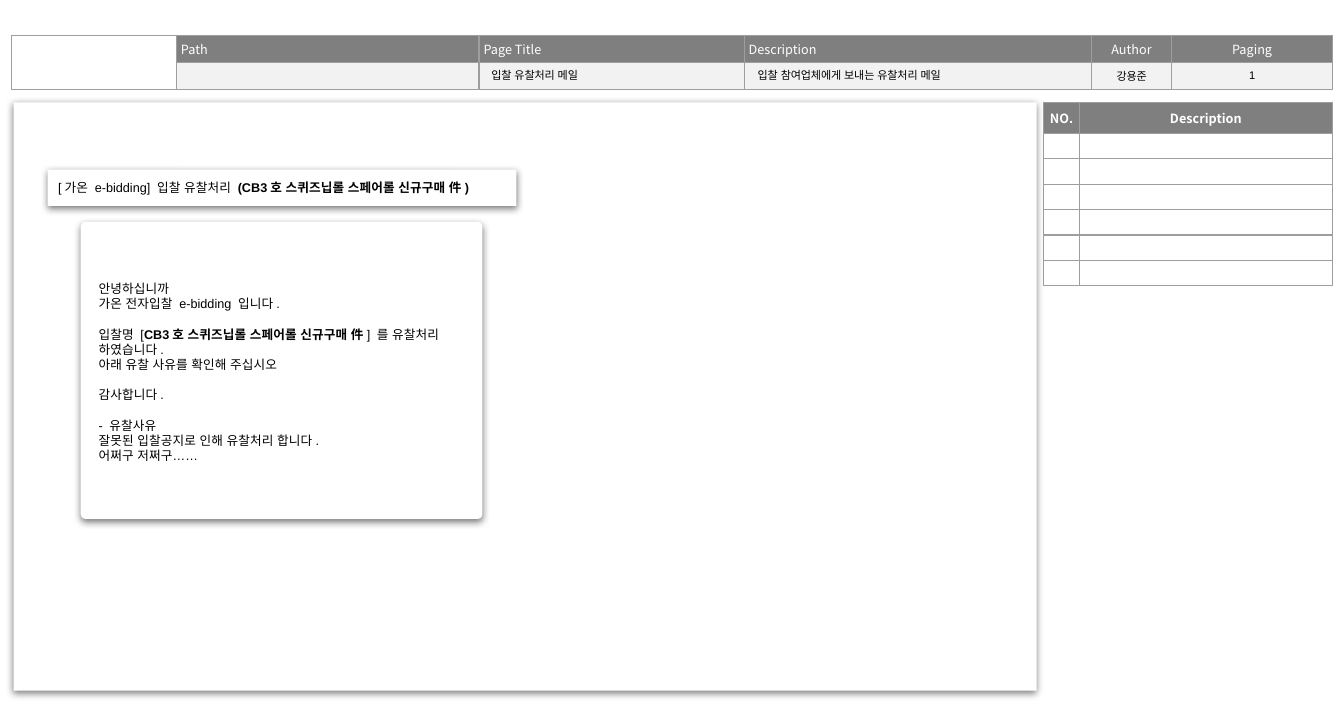
"""Build the storyboard page for the failed-bid notification mail."""
from dataclasses import dataclass

from lxml import etree
from pptx import Presentation
from pptx.dml.color import RGBColor
from pptx.enum.shapes import MSO_SHAPE
from pptx.enum.text import MSO_ANCHOR, MSO_AUTO_SIZE, PP_ALIGN
from pptx.oxml.ns import qn
from pptx.util import Pt

LEFT, CENTER = PP_ALIGN.LEFT, PP_ALIGN.CENTER
TOP, MIDDLE = MSO_ANCHOR.TOP, MSO_ANCHOR.MIDDLE
FIT_SHAPE = MSO_AUTO_SIZE.SHAPE_TO_FIT_TEXT
ROUNDED, RECTANGLE = MSO_SHAPE.ROUNDED_RECTANGLE, MSO_SHAPE.RECTANGLE

COLORS = {"white": "FFFFFF", "black": "000000", "header": "7F7F7F",
          "value": "F2F2F2", "border": "9E9E9E"}
BODY_FONT, HEADER_FONT = "Arial", "Noto Sans CJK KR"
BLANK_LINE = 9.6
BID_NAME = "CB3호 스퀴즈닙롤 스페어롤 신규구매 件"


@dataclass
class Box:
    left: float
    top: float
    width: float
    height: float


@dataclass
class Label:
    box: Box
    text: str
    align: PP_ALIGN = LEFT


@dataclass
class Card:
    box: Box
    rounding: float


@dataclass
class Line:
    phrases: list[str]
    bold_phrase: int = -1
    space_before: float = 0


@dataclass
class Heading:
    column: int
    text: str
    align: PP_ALIGN = CENTER


CANVAS = Card(Box(8.6, 64.8, 647.3, 372.2), 0)
MAIL_CARD = Card(Box(51.1, 140.4, 254.2, 187.9), 0.017)
SUBJECT_CARD = Card(Box(30.2, 107.3, 296.6, 23), 0.017)
BODY_BOX = Box(55.4, 174.2, 247, 133.2)

LABELS = [
    Label(Box(303.8, 39.6, 162, 15.8), "입찰 유찰처리 메일"),
    Label(Box(472.3, 39.6, 217.4, 15.8), "입찰 참여업체에게 보내는 유찰처리 메일"),
    Label(Box(692.6, 40.3, 46.8, 15.8), "강용준", CENTER),
    Label(Box(746.6, 39.6, 91.4, 15.8), "1", CENTER),
]
PAGE_HEADINGS = [Heading(1, "Path", LEFT), Heading(2, "Page Title", LEFT),
                 Heading(3, "Description", LEFT), Heading(4, "Author"),
                 Heading(5, "Paging")]
NOTE_HEADINGS = [Heading(0, "NO."), Heading(1, "Description")]

SUBJECT = [Line(["[가온 e-bidding] 입찰 유찰처리", f" ({BID_NAME})"], 1)]
MAIL_BODY = [
    Line(["안녕하십니까"]),
    Line(["가온 전자입찰 e-bidding 입니다."]),
    Line(["입찰명 [", BID_NAME, "] 를 유찰처리 하였습니다."], 1, BLANK_LINE),
    Line(["아래 유찰 사유를 확인해 주십시오"]),
    Line(["감사합니다."], space_before=BLANK_LINE),
    Line(["- 유찰사유"], space_before=BLANK_LINE),
    Line(["잘못된 입찰공지로 인해 유찰처리 합니다."]),
    Line(["어쩌구 저쩌구……"]),
]


def color(name: str) -> RGBColor:
    return RGBColor.from_string(COLORS[name])


def lengths(box: Box) -> list:
    return [Pt(value) for value in (box.left, box.top, box.width, box.height)]


def format_run(run, size: float, font: str, ink: str, bold: bool = False) -> None:
    run.font.size = Pt(size)
    run.font.bold = bold
    run.font.name = font
    run.font.color.rgb = color(ink)
    etree.SubElement(run._r.get_or_add_rPr(), qn("a:ea"), typeface=font)


def set_margins(target, horizontal: float, vertical: float) -> None:
    target.margin_left = target.margin_right = Pt(horizontal)
    target.margin_top = target.margin_bottom = Pt(vertical)


def draw_borders(cell, hidden: str) -> None:
    properties = cell._tc.get_or_add_tcPr()
    for side in "LRTB":
        border = etree.SubElement(properties, qn(f"a:ln{side}"), w=str(Pt(0.75)))
        if side in hidden:
            etree.SubElement(border, qn("a:noFill"))
        else:
            fill = etree.SubElement(border, qn("a:solidFill"))
            etree.SubElement(fill, qn("a:srgbClr"), val=COLORS["border"])


def add_grid(slide, left: float, top: float, columns: list[float], rows: list[float],
             headings: list[Heading], bold: bool, value_fill: str,
             hidden: dict[tuple[int, int], str]):
    box = Box(left, top, sum(columns), sum(rows))
    table = slide.shapes.add_table(len(rows), len(columns), *lengths(box)).table
    table.first_row = table.horz_banding = False
    for column, width in zip(table.columns, columns):
        column.width = Pt(width)
    for row, height in zip(table.rows, rows):
        row.height = Pt(height)
    for row_index in range(len(rows)):
        for column_index in range(len(columns)):
            cell = table.cell(row_index, column_index)
            set_margins(cell, 2.88, 2.88)
            cell.vertical_anchor = MIDDLE
            draw_borders(cell, hidden.get((row_index, column_index), ""))
            cell.fill.solid()
            cell.fill.fore_color.rgb = color(value_fill if row_index else "header")
            paragraph = cell.text_frame.paragraphs[0]
            etree.SubElement(paragraph._p, qn("a:endParaRPr"), sz="700")
    for heading in headings:
        paragraph = table.cell(0, heading.column).text_frame.paragraphs[0]
        paragraph.text = heading.text
        paragraph.alignment = heading.align
        format_run(paragraph.runs[0], 8, HEADER_FONT, "white", bold)
    return table


def add_panel(slide, kind: MSO_SHAPE, box: Box):
    shape = slide.shapes.add_shape(kind, *lengths(box))
    shape.shadow.inherit = False
    shape.fill.solid()
    shape.fill.fore_color.rgb = color("white")
    shape.line.fill.background()
    return shape


def add_card(slide, card: Card):
    shape = add_panel(slide, ROUNDED, card.box)
    shape.adjustments[0] = card.rounding
    effects = shape._element.spPr.find(qn("a:effectLst"))
    shadow = etree.SubElement(effects, qn("a:outerShdw"), blurRad=str(Pt(4.5)),
                              dist=str(Pt(1.5)), dir="5400000", rotWithShape="0")
    ink = etree.SubElement(shadow, qn("a:srgbClr"), val=COLORS["black"])
    etree.SubElement(ink, qn("a:alpha"), val="49000")
    return shape


def write_lines(text_frame, lines: list[Line], anchor: MSO_ANCHOR) -> None:
    text_frame.word_wrap = True
    text_frame.vertical_anchor = anchor
    for index, line in enumerate(lines):
        paragraph = text_frame.add_paragraph() if index else text_frame.paragraphs[0]
        paragraph.alignment = LEFT
        paragraph.space_before = Pt(line.space_before)
        for phrase_index, phrase in enumerate(line.phrases):
            run = paragraph.add_run()
            run.text = phrase
            format_run(run, 8, BODY_FONT, "black", phrase_index == line.bold_phrase)


def add_label(slide, label: Label) -> None:
    text_frame = slide.shapes.add_textbox(*lengths(label.box)).text_frame
    text_frame.text = label.text
    text_frame.word_wrap = True
    text_frame.auto_size = FIT_SHAPE
    set_margins(text_frame, 7.2, 3.6)
    paragraph = text_frame.paragraphs[0]
    paragraph.alignment = label.align
    format_run(paragraph.runs[0], 7, BODY_FONT, "black")


def main() -> None:
    presentation = Presentation()
    presentation.slide_width, presentation.slide_height = Pt(850.4), Pt(453.6)
    slide = presentation.slides.add_slide(presentation.slide_layouts[6])

    page_table = add_grid(slide, 7.2, 22.2,
                          [104.4, 191.5, 167.8, 219.6, 51.1, 32.4, 31.7, 37.4],
                          [17.3, 17.1], PAGE_HEADINGS, False, "value",
                          {(1, 5): "R", (1, 6): "LR", (1, 7): "L"})
    page_table.cell(0, 0).merge(page_table.cell(1, 0))
    page_table.cell(0, 0).fill.fore_color.rgb = color("white")
    page_table.cell(0, 5).merge(page_table.cell(0, 7))
    add_grid(slide, 660.2, 64.8, [23, 159.8], [19.6] + [16.1] * 6,
             NOTE_HEADINGS, True, "white", {})

    add_card(slide, CANVAS)
    for label in LABELS:
        add_label(slide, label)
    add_card(slide, MAIL_CARD)
    subject_frame = add_card(slide, SUBJECT_CARD).text_frame
    set_margins(subject_frame, 6.5, 6.5)
    write_lines(subject_frame, SUBJECT, MIDDLE)
    body_frame = add_panel(slide, RECTANGLE, BODY_BOX).text_frame
    set_margins(body_frame, 7.2, 3.6)
    write_lines(body_frame, MAIL_BODY, TOP)
    presentation.save("out.pptx")


if __name__ == "__main__":
    main()
